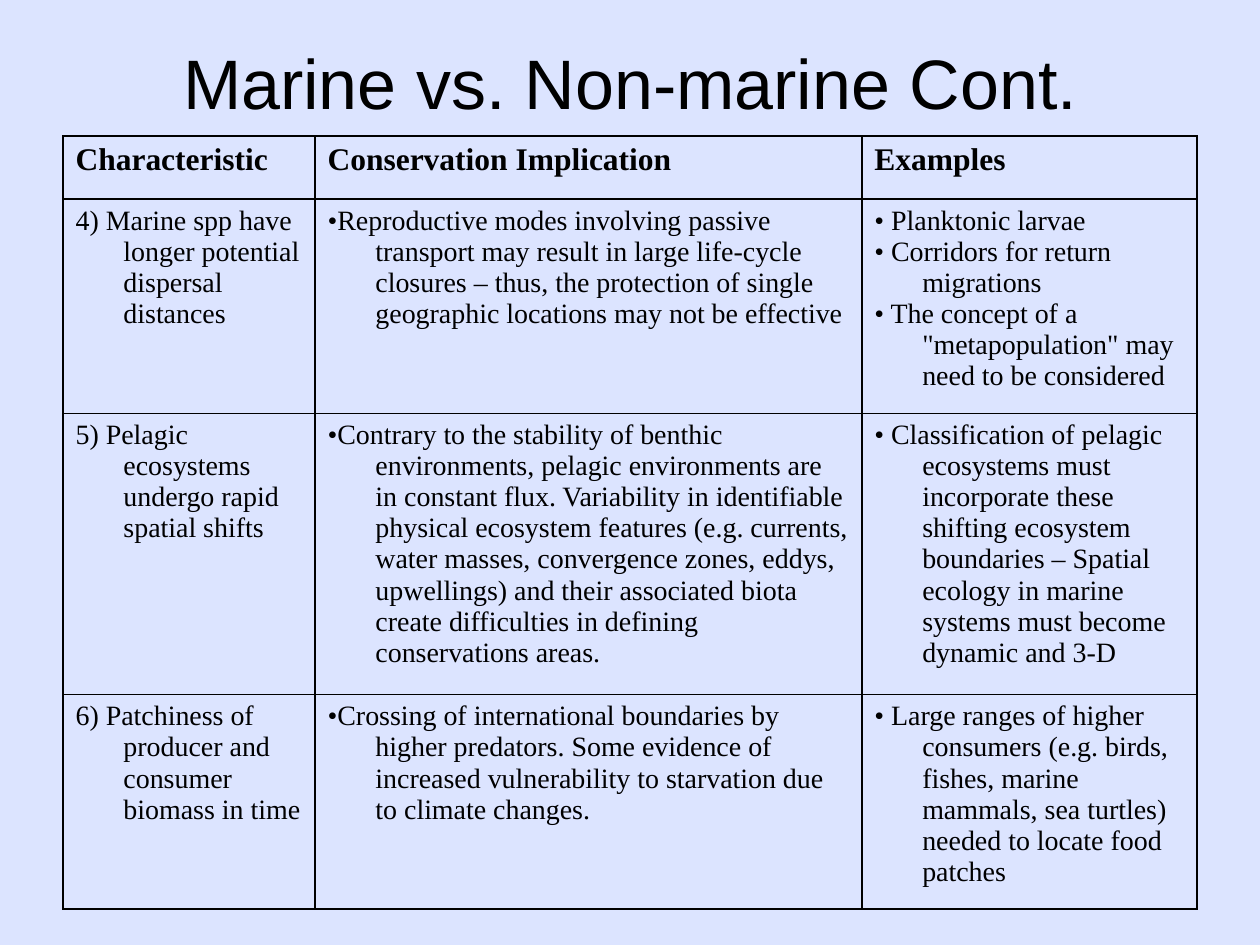
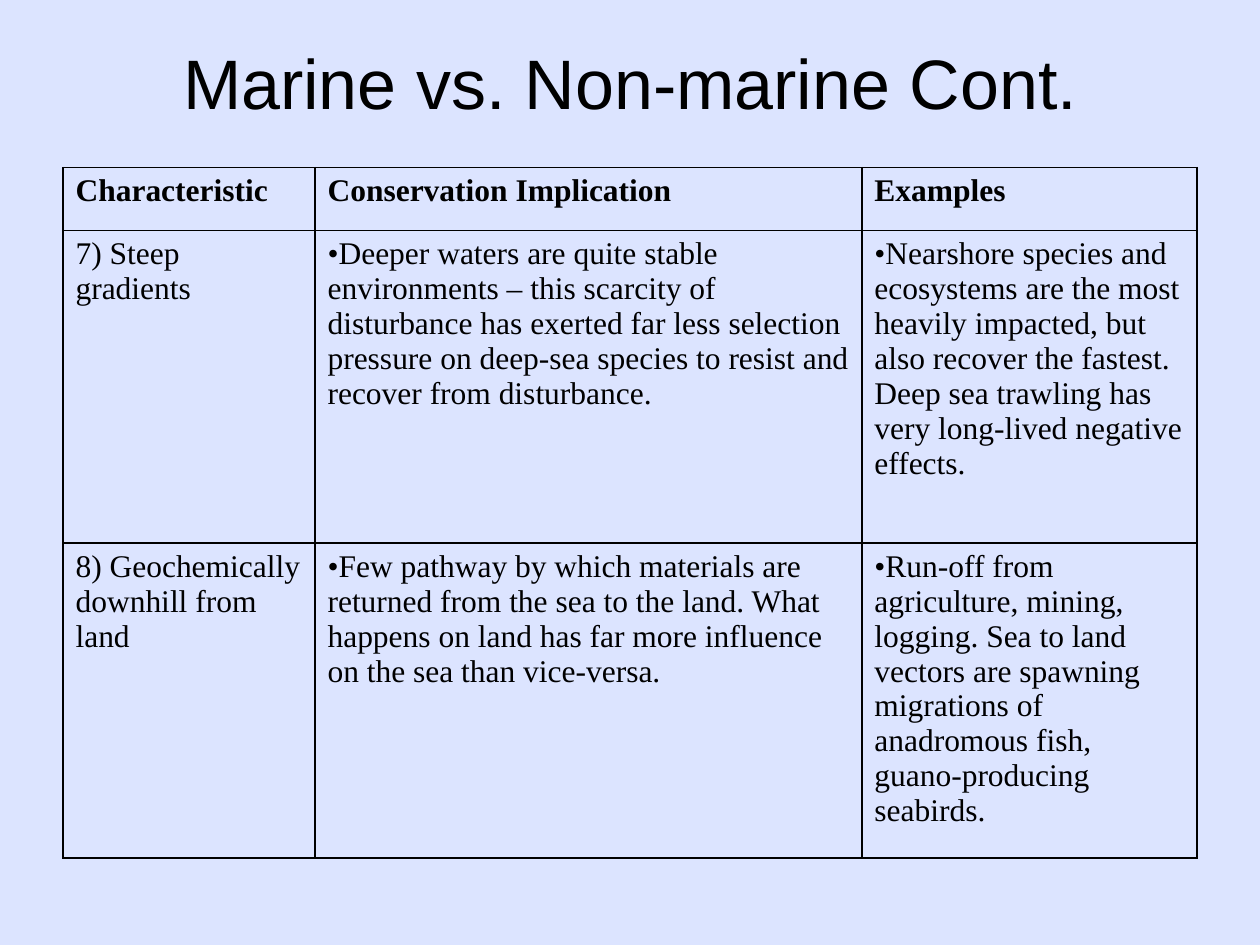
from dataclasses import dataclass

from lxml import etree
from pptx import Presentation
from pptx.dml.color import RGBColor
from pptx.enum.text import MSO_ANCHOR, PP_ALIGN
from pptx.oxml.ns import qn
from pptx.util import Inches, Pt

MIDDLE = MSO_ANCHOR.MIDDLE
TOP = MSO_ANCHOR.TOP
CENTER = PP_ALIGN.CENTER
LEFT = PP_ALIGN.LEFT


@dataclass(frozen=True)
class Theme:
    ground: str = "DCE4FF"
    ink: str = "000000"
    title_font: str = "Arial"
    table_font: str = "Times New Roman"
    title_size: int = 40
    head_size: int = 18
    small_size: int = 16
    rule: int = 1


THEME = Theme()
TITLE = "Marine vs. Non-marine Cont."
TITLE_BOX = (0.5, 0.17, 9, 0.95)
COLS = (2, 4.34, 2.66)
HEADS = ("Characteristic", "Conservation Implication", "Examples")

PAGES = [
    {
        "box": (0.5, 1.08, 9, 6.13),
        "heights": (0.5, 1.7, 2.23, 1.7),
        "size": THEME.small_size,
        "hang": 0.38,
        "rows": [
            (
                "4) Marine spp have longer potential dispersal distances",
                "•Reproductive modes involving passive transport may result in large "
                "life-cycle closures – thus, the protection of single geographic "
                "locations may not be effective",
                "• Planktonic larvae\n• Corridors for return migrations\n"
                '• The concept of a "metapopulation" may need to be considered',
            ),
            (
                "5) Pelagic ecosystems undergo rapid spatial shifts",
                "•Contrary to the stability of benthic environments, pelagic "
                "environments are in constant flux. Variability in identifiable "
                "physical ecosystem features (e.g. currents, water masses, "
                "convergence zones, eddys, upwellings) and their associated biota "
                "create difficulties in defining conservations areas.",
                "• Classification of pelagic ecosystems must incorporate these "
                "shifting ecosystem boundaries – Spatial ecology in marine systems "
                "must become dynamic and 3-D",
            ),
            (
                "6) Patchiness of producer and consumer biomass in time",
                "•Crossing of international boundaries by higher predators. Some "
                "evidence of increased vulnerability to starvation due to climate "
                "changes.",
                "• Large ranges of higher consumers (e.g. birds, fishes, marine "
                "mammals, sea turtles) needed to locate food patches",
            ),
        ],
    },
    {
        "box": (0.5, 1.33, 9, 5.45),
        "heights": (0.5, 2.48, 2.47),
        "size": THEME.head_size,
        "hang": 0,
        "rows": [
            (
                "7) Steep gradients",
                "•Deeper waters are quite stable environments – this scarcity of "
                "disturbance has exerted far less selection pressure on deep-sea "
                "species to resist and recover from disturbance.",
                "•Nearshore species and ecosystems are the most heavily impacted, "
                "but also recover the fastest. Deep sea trawling has very "
                "long-lived negative effects.",
            ),
            (
                "8) Geochemically downhill from land",
                "•Few pathway by which materials are returned from the sea to the "
                "land. What happens on land has far more influence on the sea than "
                "vice-versa.",
                "•Run-off from agriculture, mining, logging. Sea to land vectors "
                "are spawning migrations of anadromous fish, guano-producing "
                "seabirds.",
            ),
        ],
    },
]


def apply(target, values):
    for name, value in values.items():
        setattr(target, name, value)


def write(frame, text, font, size, bold=False, align=LEFT, hang=0):
    frame.text = text
    for para in frame.paragraphs:
        para.alignment = align
        if hang:
            props = para._p.get_or_add_pPr()
            props.set("marL", str(Inches(hang)))
            props.set("indent", str(Inches(-hang)))
        for run in para.runs:
            apply(run.font, {"name": font, "size": Pt(size), "bold": bold})
            run.font.color.rgb = RGBColor.from_string(THEME.ink)


def add_title(slide, box):
    frame = slide.shapes.add_textbox(*map(Inches, box)).text_frame
    apply(frame, {"word_wrap": True, "vertical_anchor": MIDDLE})
    write(frame, TITLE, THEME.title_font, THEME.title_size, align=CENTER)


def add_rules(cell):
    props = cell._tc.get_or_add_tcPr()
    for side in ("lnL", "lnR", "lnT", "lnB"):
        line = etree.SubElement(props, qn(f"a:{side}"), w=str(Pt(THEME.rule)))
        fill = etree.SubElement(line, qn("a:solidFill"))
        etree.SubElement(fill, qn("a:srgbClr"), val=THEME.ink)


def add_grid(slide, box, heights, size, hang, rows):
    rows = [HEADS, *rows]
    grid = slide.shapes.add_table(len(rows), len(COLS), *map(Inches, box)).table
    apply(grid, {"first_row": False, "horz_banding": False})
    for col, width in zip(grid.columns, COLS):
        col.width = Inches(width)
    for index, (row, height, texts) in enumerate(zip(grid.rows, heights, rows)):
        row.height = Inches(height)
        head = index == 0
        for cell, text in zip(row.cells, texts):
            add_rules(cell)
            cell.fill.background()
            cell.vertical_anchor = TOP
            write(cell.text_frame, text, THEME.table_font,
                  THEME.head_size if head else size, bold=head, hang=hang)


def add_page(deck, page):
    slide = deck.slides.add_slide(deck.slide_layouts[6])
    fill = slide.background.fill
    fill.solid()
    fill.fore_color.rgb = RGBColor.from_string(THEME.ground)
    add_title(slide, TITLE_BOX)
    add_grid(slide, **page)


def main():
    deck = Presentation()
    apply(deck, {"slide_width": Inches(10), "slide_height": Inches(7.5)})
    for page in PAGES:
        add_page(deck, page)
    deck.save("out.pptx")


if __name__ == "__main__":
    main()
